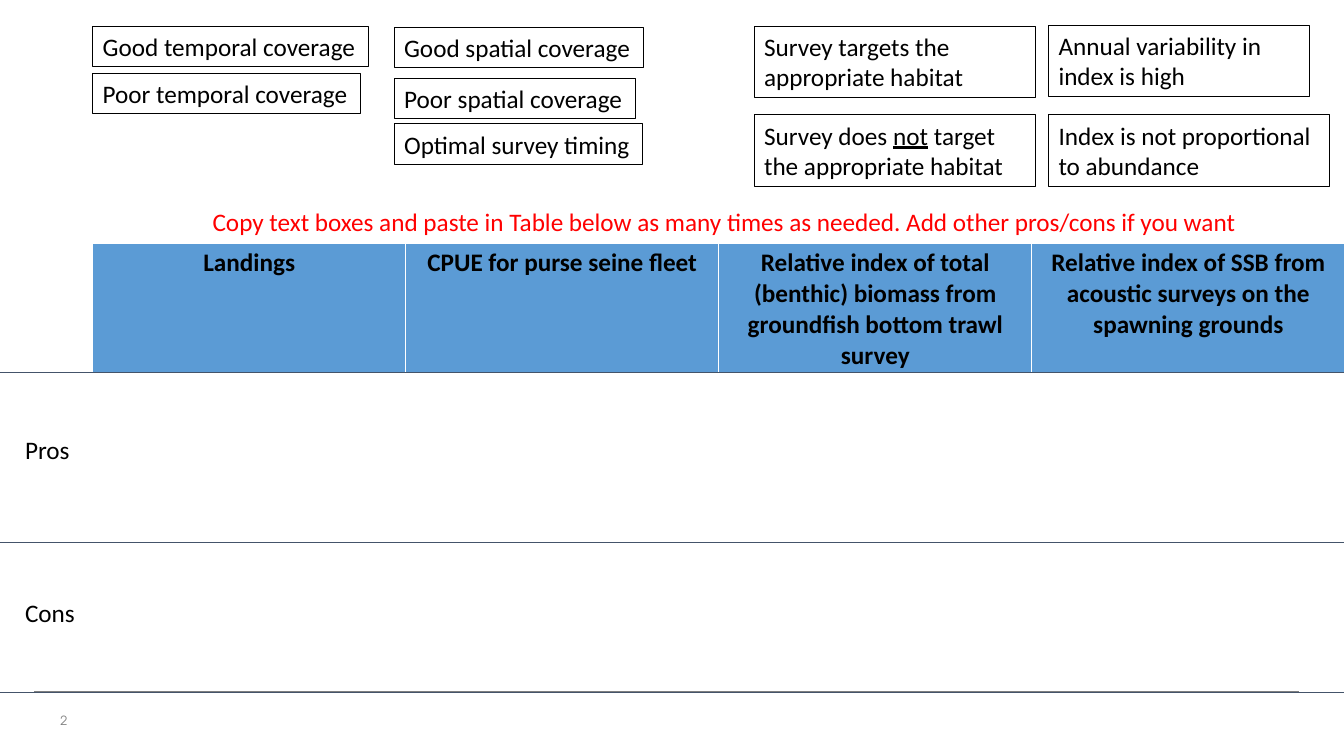
from lxml.etree import SubElement
from pptx import Presentation
from pptx.dml.color import RGBColor
from pptx.enum.shapes import MSO_CONNECTOR, MSO_SHAPE
from pptx.enum.text import MSO_ANCHOR, PP_ALIGN
from pptx.oxml.ns import qn
from pptx.util import Inches, Pt

BLACK, WHITE, RED, GREY = "000000", "FFFFFF", "FF0000", "7F7F7F"
NAVY, BLUE = "44546A", "5B9BD5"
SLIDE_WIDTH, SLIDE_HEIGHT = 13.33, 7.5
LABEL_HEIGHT = 0.4

# Statement boxes: left, top, width, height, wraps, lines
STATEMENTS = [
    (0.92, 0.26, 2.74, 0.4, False, ["Good temporal coverage"]),
    (0.92, 0.73, 2.66, 0.4, False, ["Poor temporal coverage"]),
    (3.91, 0.27, 2.47, 0.4, False, ["Good spatial coverage"]),
    (3.91, 0.78, 2.39, 0.4, False, ["Poor spatial coverage"]),
    (3.91, 1.23, 2.46, 0.4, False, ["Optimal survey timing"]),
    (7.48, 0.26, 2.79, 0.71, True, ["Survey targets the appropriate habitat"]),
    (7.48, 1.14, 2.79, 0.71, True,
     ["Survey does _not_ target the appropriate habitat"]),
    (10.4, 0.25, 2.59, 0.71, True, ["Annual variability in index is high"]),
    (10.4, 1.14, 2.79, 0.71, False,
     ["Index is not proportional", "to abundance"]),
]
HEADINGS = [
    "Landings",
    "CPUE for purse seine fleet",
    "Relative index of total (benthic) biomass from groundfish bottom "
    "trawl survey",
    "Relative index of SSB from acoustic surveys on the spawning grounds",
]


def color(value):
    return RGBColor.from_string(value)


def style(paragraph, size=18, hue=BLACK, font="Calibri", bold=False):
    paragraph.font.name = font
    paragraph.font.size = Pt(size)
    paragraph.font.bold = bold
    paragraph.font.color.rgb = color(hue)


def write(frame, lines, wrap=False, **font):
    """Fill a text frame; words between underscores are underlined."""
    frame.word_wrap = wrap
    for index, line in enumerate(lines):
        paragraph = frame.add_paragraph() if index else frame.paragraphs[0]
        paragraph.alignment = PP_ALIGN.LEFT
        style(paragraph, **font)
        for part, words in enumerate(line.split("_")):
            run = paragraph.add_run()
            run.text = words
            if part % 2:
                run.font.underline = True


def add_label(slide, box, text, **font):
    label = slide.shapes.add_textbox(*map(Inches, box))
    write(label.text_frame, [text], **font)
    return label


def add_rule(slide, left, top, width, hue=NAVY, weight=0.5):
    rule = slide.shapes.add_connector(
        MSO_CONNECTOR.STRAIGHT, Inches(left), Inches(top),
        Inches(left + width), Inches(top))
    rule.line.color.rgb = color(hue)
    rule.line.width = Pt(weight)
    SubElement(rule._element.spPr, qn("a:effectLst"))


def add_statements(slide, left, top):
    for x, y, width, height, wrap, lines in STATEMENTS:
        shape = slide.shapes.add_shape(
            MSO_SHAPE.RECTANGLE, Inches(left + x), Inches(top + y),
            Inches(width), Inches(height))
        shape.shadow.inherit = False
        shape.fill.background()
        shape.line.color.rgb = color(BLACK)
        shape.line.width = Pt(0.75)
        shape.text_frame.vertical_anchor = MSO_ANCHOR.TOP
        write(shape.text_frame, lines, wrap)


def add_cell_borders(cell):
    properties = cell._tc.get_or_add_tcPr()
    sides = (("a:lnL", 1), ("a:lnR", 1), ("a:lnT", 1), ("a:lnB", 3))
    for position, (side, weight) in enumerate(sides):
        line = properties.makeelement(qn(side), {"w": str(Pt(weight))})
        fill = SubElement(line, qn("a:solidFill"))
        SubElement(fill, qn("a:srgbClr"), val=WHITE)
        properties.insert(position, line)


def add_heading_table(slide, left, top, width, height):
    table = slide.shapes.add_table(
        1, len(HEADINGS), Inches(left), Inches(top),
        Inches(width), Inches(height)).table
    for column, cell, heading in zip(
            table.columns, table.rows[0].cells, HEADINGS):
        column.width = Inches(width / len(HEADINGS))
        cell.fill.solid()
        cell.fill.fore_color.rgb = color(BLUE)
        cell.text = heading
        paragraph = cell.text_frame.paragraphs[0]
        paragraph.alignment = PP_ALIGN.CENTER
        style(paragraph, bold=True)
        add_cell_borders(cell)


def add_pros_cons_rows(slide, left, top, width):
    for offset in (0, 1.69, 3.18):
        add_rule(slide, left, top + offset, width)
    for name, offset in (("Pros", 0.57), ("Cons", 2.19)):
        add_label(slide, (left + 0.15, top + offset, 0.7, LABEL_HEIGHT), name)


def add_footer(slide, left, top):
    add_rule(slide, left, top, 12.54, GREY, 0.25)
    number = add_label(
        slide, (left + 0.16, top + 0.09, 1.07, LABEL_HEIGHT), "2",
        size=9, hue=GREY, font="TeX Gyre Adventor")
    number.text_frame.vertical_anchor = MSO_ANCHOR.MIDDLE


presentation = Presentation()
presentation.slide_width = Inches(SLIDE_WIDTH)
presentation.slide_height = Inches(SLIDE_HEIGHT)
slide = presentation.slides.add_slide(presentation.slide_layouts[6])

add_footer(slide, 0.34, 6.86)
add_heading_table(slide, 0.92, 2.41, 12.42, 1.3)
add_pros_cons_rows(slide, 0, 3.69, SLIDE_WIDTH)
add_statements(slide, 0, 0)
add_label(slide, (2.01, 2, 10.48, LABEL_HEIGHT),
          "Copy text boxes and paste in Table below as many times as needed. "
          "Add other pros/cons if you want", hue=RED)

presentation.save("out.pptx")
